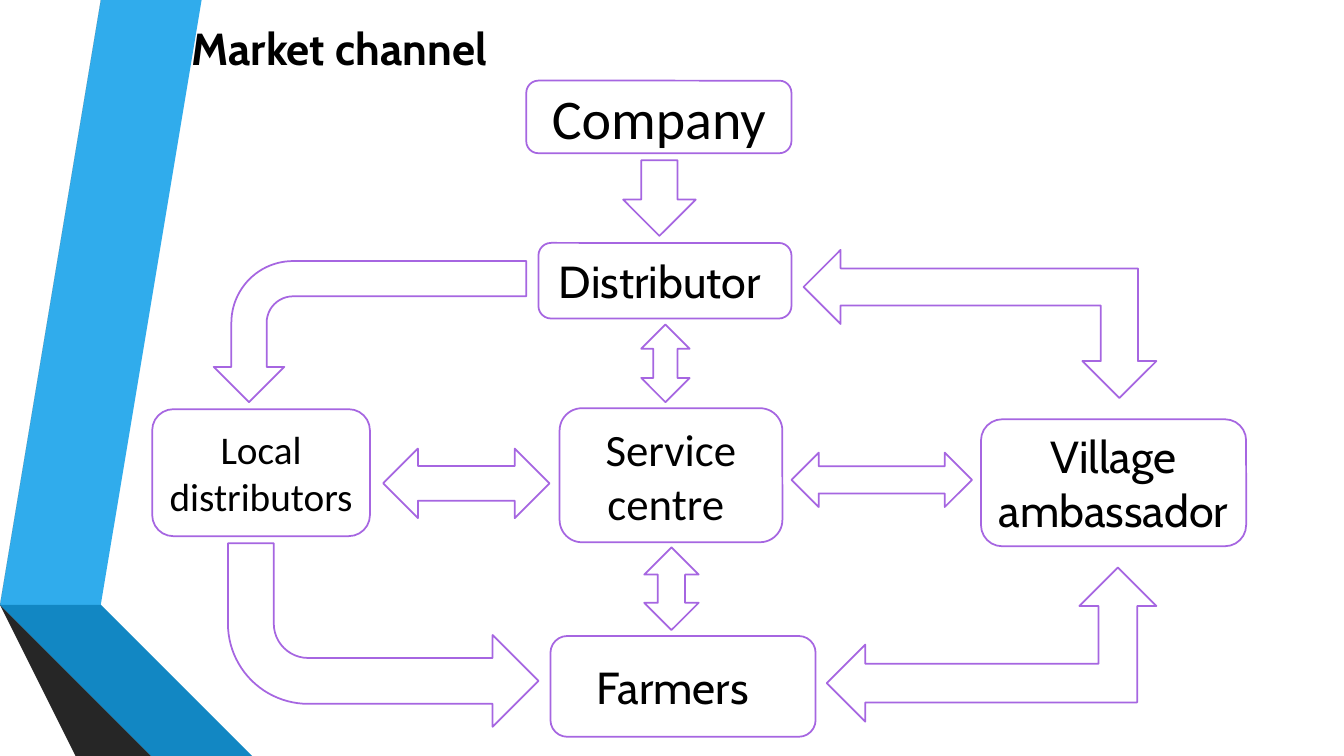
from pptx import Presentation
from pptx.dml.color import RGBColor
from pptx.enum.shapes import MSO_SHAPE as Kind
from pptx.enum.text import MSO_ANCHOR as Anchor, PP_ALIGN as Align
from pptx.util import Inches, Pt


def color(code):
    return RGBColor.from_string(code)


def write(para, text, size, face, bold=False):
    run = para.add_run()
    run.text = text
    run.font.size = Pt(size)
    run.font.name = face
    run.font.bold = bold
    run.font.color.rgb = color("000000")


deck = Presentation()
deck.slide_width, deck.slide_height = Inches(13.33), Inches(7.5)
slide = deck.slides.add_slide(deck.slide_layouts[6])
shapes = slide.shapes

# Ribbons on the left edge
ribbons = [
    ("30ACEC", [(0.5, 5.78), (0.77, 5.83), (1.73, 0), (1.45, 0)]),
    ("595959", [(1.39, 0), (1.11, 0), (0.16, 5.73), (0.44, 5.77)]),
    ("262626", [(0.16, 5.73), (1.45, 7.5), (1.51, 7.5)]),
    ("0C5A82", [(0.5, 5.79), (2.08, 7.5), (2.14, 7.5)]),
    ("1287C3", [(0.5, 5.78), (2.14, 7.5), (2.83, 7.5), (0.77, 5.83)]),
    ("404040", [(2.02, 7.5), (0.48, 5.83), (0.44, 5.77), (0.16, 5.73), (1.51, 7.5)]),
]
for fill, points in ribbons:
    build = shapes.build_freeform(*points[0], scale=Inches(1))
    build.add_line_segments(points[1:], close=True)
    ribbon = build.convert_to_shape()
    ribbon.shadow.inherit = False
    ribbon.fill.solid()
    ribbon.fill.fore_color.rgb = color(fill)
    ribbon.line.fill.background()

# Boxes: place, label, size, font
boxes = [
    ((5.22, 0.8, 2.63, 0.72), "Company", 40, "Calibri"),
    ((5.34, 2.41, 2.51, 0.75), "Distributor ", 32, "Cabin"),
    ((9.73, 4.16, 2.63, 1.26), "Village ambassador ", 32, "Cabin"),
    ((5.46, 6.31, 2.63, 1), "Farmers ", 32, "Cabin"),
    ((1.51, 4.06, 2.16, 1.26), "Local distributors ", 28, "Calibri"),
    ((5.55, 4.05, 2.21, 1.33), "Service centre ", 32, "Calibri"),
]
# Arrows: kind, place, turn, flip
arrows = [
    (Kind.DOWN_ARROW, (6.18, 1.59, 0.72, 0.75), 0, None),
    (Kind.BENT_ARROW, (2.97, 1.74, 1.4, 3.1), 270, "flipH"),
    (Kind.BENT_ARROW, (2.26, 5.39, 3.08, 1.82), 180, "flipH"),
    (Kind.LEFT_RIGHT_ARROW, (7.85, 4.49, 1.79, 0.54), 0, None),
    (Kind.LEFT_UP_ARROW, (7.97, 2.48, 3.5, 1.47), 0, "flipV"),
    (Kind.LEFT_UP_ARROW, (8.2, 5.63, 3.27, 1.53), 0, None),
    (Kind.UP_DOWN_ARROW, (6.36, 3.22, 0.48, 0.77), 0, None),
    (Kind.UP_DOWN_ARROW, (6.39, 5.43, 0.54, 0.82), 0, None),
    (Kind.LEFT_RIGHT_ARROW, (3.8, 4.45, 1.65, 0.69), 0, None),
]

parts = []
for place, label, size, face in boxes:
    box = shapes.add_shape(Kind.ROUNDED_RECTANGLE, *map(Inches, place))
    frame = box.text_frame
    frame.word_wrap = True
    frame.vertical_anchor = Anchor.MIDDLE
    para = frame.paragraphs[0]
    para.alignment = Align.CENTER
    write(para, label, size, face)
    if label == "Farmers ":
        frame.margin_right = Inches(0.2)
    parts.append(box)

for kind, place, turn, flip in arrows:
    arrow = shapes.add_shape(kind, *map(Inches, place))
    arrow.rotation = turn
    if flip:
        arrow._element.spPr.xfrm.set(flip, "1")
    parts.append(arrow)

for part in parts:
    part.shadow.inherit = False
    part.fill.solid()
    part.fill.fore_color.rgb = color("FFFFFF")
    part.line.color.rgb = color("A666E1")
    part.line.width = Pt(1.25)

title = shapes.add_textbox(Inches(1.8), Inches(0.16), Inches(3.42), Inches(0.64))
title.text_frame.word_wrap = True
write(title.text_frame.paragraphs[0], "Market channel", 32, "Cabin", True)

deck.save("out.pptx")
